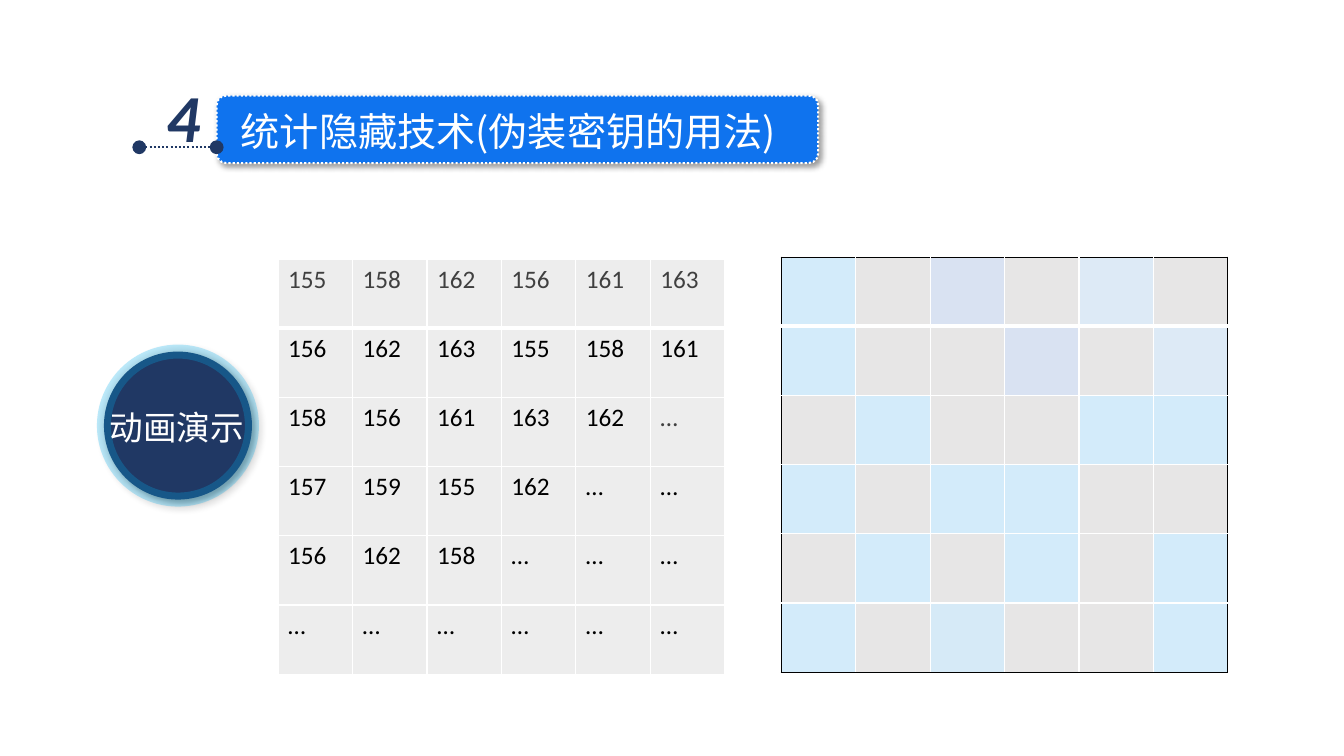
from lxml.etree import SubElement
from pptx import Presentation
from pptx.dml.color import RGBColor
from pptx.enum.dml import MSO_LINE
from pptx.enum.shapes import MSO_CONNECTOR, MSO_SHAPE
from pptx.enum.text import MSO_AUTO_SIZE
from pptx.oxml import parse_xml
from pptx.oxml.ns import nsdecls, qn
from pptx.util import Cm, Pt

# Content
TITLE = "统计隐藏技术(伪装密钥的用法)"
NUMBER = "4"
DEMO_LABEL = "动画演示"
PIXELS = [
    ["155", "158", "162", "156", "161", "163"],
    ["156", "162", "163", "155", "158", "161"],
    ["158", "156", "161", "163", "162", "…"],
    ["157", "159", "155", "162", "…", "…"],
    ["156", "162", "158", "…", "…", "…"],
    ["…", "…", "…", "…", "…", "…"],
]
GREY_TEXT_CELLS = {(0, column) for column in range(6)} | {(2, 5)}
# b = sky, g = grey, v = violet, p = pale, t = teal
MASK = ["bgvgpg", "bggvgp", "gbggbb", "bgbbgg", "gbgbgb", "bgtggb"]

COLOURS = {
    "white": "FFFFFF", "black": "000000", "navy": "203864", "banner": "0F73EE",
    "ring": "00B0F0", "cell": "EDEDED", "grey text": "404040",
    "b": "A8D8F6", "g": "D0CECE", "v": "B4C7E7", "p": "BDD7EE", "t": "AED7F0",
}
CJK, LATIN = "Noto Sans CJK SC", "Calibri"
GRID_WIDTH, GRID_HEIGHT, COUNT = 11.25, 10.46, 6

presentation = Presentation()
presentation.slide_width, presentation.slide_height = Cm(33.87), Cm(19.05)
slide = presentation.slides.add_slide(presentation.slide_layouts[6])


def colour(name):
    return RGBColor.from_string(COLOURS[name])


def add_run(paragraph, text, size, font, colour_name, slanted=False):
    run = paragraph.add_run()
    run.text = text
    run.font.size, run.font.name = Pt(size), font
    run.font.color.rgb = colour(colour_name)
    if slanted:
        run.font.bold = run.font.italic = True
    SubElement(run.font._element, qn("a:ea"), typeface=font)


def add_label(box, text, size, font, colour_name, wrap=False, slanted=False):
    frame = slide.shapes.add_textbox(*map(Cm, box)).text_frame
    frame.word_wrap = wrap
    frame.auto_size = MSO_AUTO_SIZE.SHAPE_TO_FIT_TEXT
    add_run(frame.paragraphs[0], text, size, font, colour_name, slanted)


def set_alpha(fill_parent, percent):
    rgb = fill_parent.find(qn("a:solidFill")).find(qn("a:srgbClr"))
    SubElement(rgb, qn("a:alpha"), val=str(percent * 1000))


def add_shadowed(kind, box, fill, line, width):
    shape = slide.shapes.add_shape(kind, *map(Cm, box))
    shape.shadow.inherit = False
    shape.fill.solid()
    shape.fill.fore_color.rgb = colour(fill)
    shape.line.color.rgb = colour(line)
    shape.line.width = Pt(width)
    effects = shape._element.spPr.find(qn("a:effectLst"))
    effects.append(parse_xml(
        f'<a:outerShdw {nsdecls("a")} blurRad="{Pt(4)}" dist="{Pt(3)}" dir="2700000"'
        ' algn="tl" rotWithShape="0"><a:srgbClr val="000000">'
        '<a:alpha val="40000"/></a:srgbClr></a:outerShdw>'))
    return shape


def add_grid(left, top):
    frame = slide.shapes.add_table(
        COUNT, COUNT, Cm(left), Cm(top), Cm(GRID_WIDTH), Cm(GRID_HEIGHT))
    table = frame.table
    table.first_row = table.horz_banding = False
    for column in table.columns:
        column.width = Cm(GRID_WIDTH / COUNT)
    for row in table.rows:
        row.height = Cm(GRID_HEIGHT / COUNT)
    return table


def style_cell(cell, fill, black_sides=(), header=False, alpha=None):
    cell.fill.solid()
    cell.fill.fore_color.rgb = colour(fill)
    properties = cell._tc.get_or_add_tcPr()
    if alpha:
        set_alpha(properties, alpha)
    for index, side in enumerate("LRTB"):
        width = Pt(3 if header and side == "B" else 1)
        value = COLOURS["black" if side in black_sides else "white"]
        properties.insert(index, parse_xml(
            f'<a:ln{side} {nsdecls("a")} w="{width}"><a:solidFill>'
            f'<a:srgbClr val="{value}"/></a:solidFill></a:ln{side}>'))


# Table of pixel values
pixel_table = add_grid(7.01, 6.53)
for r, values in enumerate(PIXELS):
    for c, value in enumerate(values):
        cell = pixel_table.cell(r, c)
        style_cell(cell, "cell", header=r == 0)
        text_colour = "grey text" if (r, c) in GREY_TEXT_CELLS else "black"
        add_run(cell.text_frame.paragraphs[0], value, 18, LATIN, text_colour)

# Demo button
button = add_shadowed(MSO_SHAPE.OVAL, (2.62, 8.86, 3.73, 3.73), "navy", "ring", 10)
set_alpha(button.line._get_or_add_ln(), 25)
add_label((2.51, 10.13, 3.94, 1.27), DEMO_LABEL, 24, CJK, "white")

# Coloured mask with a black outline
mask_table = add_grid(19.69, 6.48)
last = COUNT - 1
for r, codes in enumerate(MASK):
    for c, code in enumerate(codes):
        edges = {"L": c == 0, "R": c == last, "T": r == 0, "B": r == last}
        outline = [side for side, outer in edges.items() if outer]
        style_cell(mask_table.cell(r, c), code, outline, r == 0, alpha=50)

# Title banner
banner = add_shadowed(
    MSO_SHAPE.ROUNDED_RECTANGLE, (5.46, 2.41, 15.16, 1.7), "banner", "white", 1.5)
banner.adjustments[0] = 0.14
banner.line.dash_style = MSO_LINE.ROUND_DOT
add_label((5.82, 2.57, 20.37, 1.45), TITLE, 28, CJK, "white", wrap=True)
add_label((3.94, 1.78, 1.37, 2.31), NUMBER, 48, LATIN, "navy", slanted=True)

# Dotted line with round ends
dotted = slide.shapes.add_connector(
    MSO_CONNECTOR.STRAIGHT, Cm(3.51), Cm(3.71), Cm(5.46), Cm(3.71))
dotted.line.color.rgb = colour("navy")
dotted.line.width = Pt(1.5)
dotted.line.dash_style = MSO_LINE.ROUND_DOT
for end in ("a:headEnd", "a:tailEnd"):
    SubElement(dotted.line._get_or_add_ln(), qn(end), type="oval", w="lg", len="lg")
SubElement(dotted._element.spPr, qn("a:effectLst"))

presentation.save("out.pptx")
